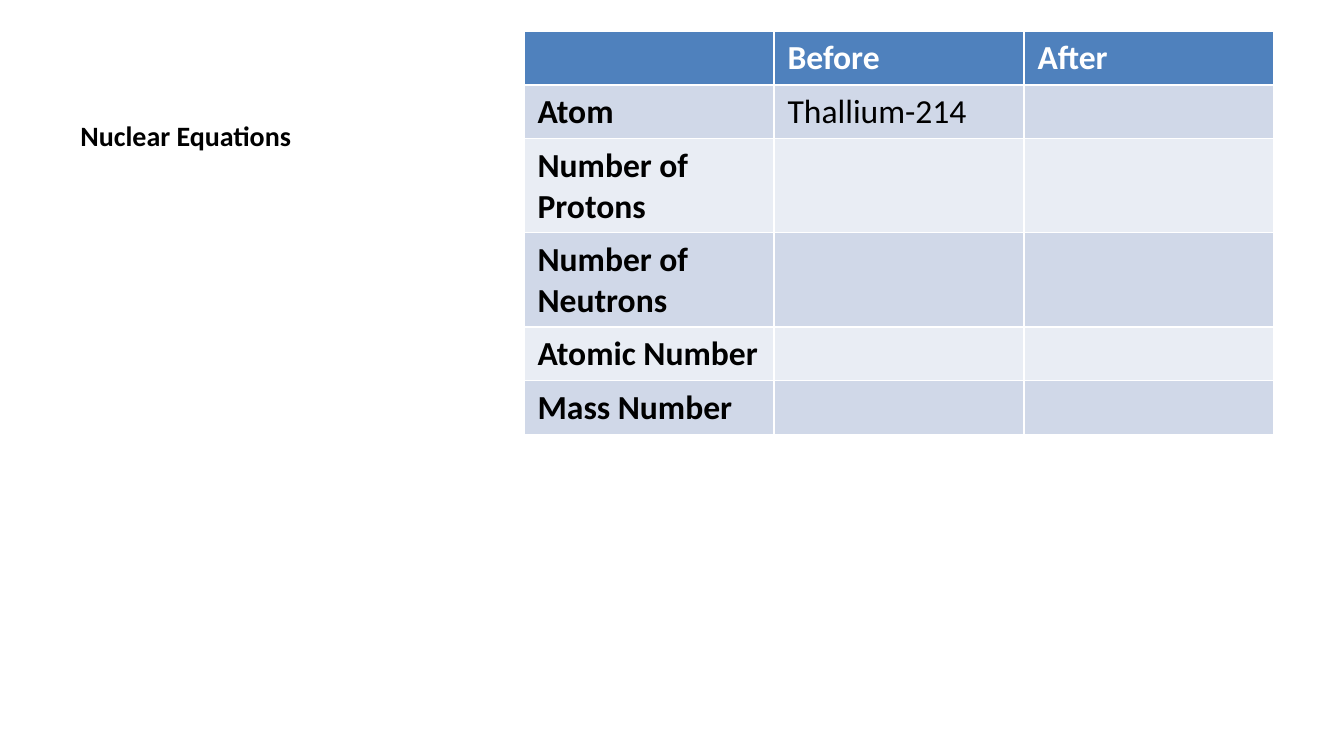
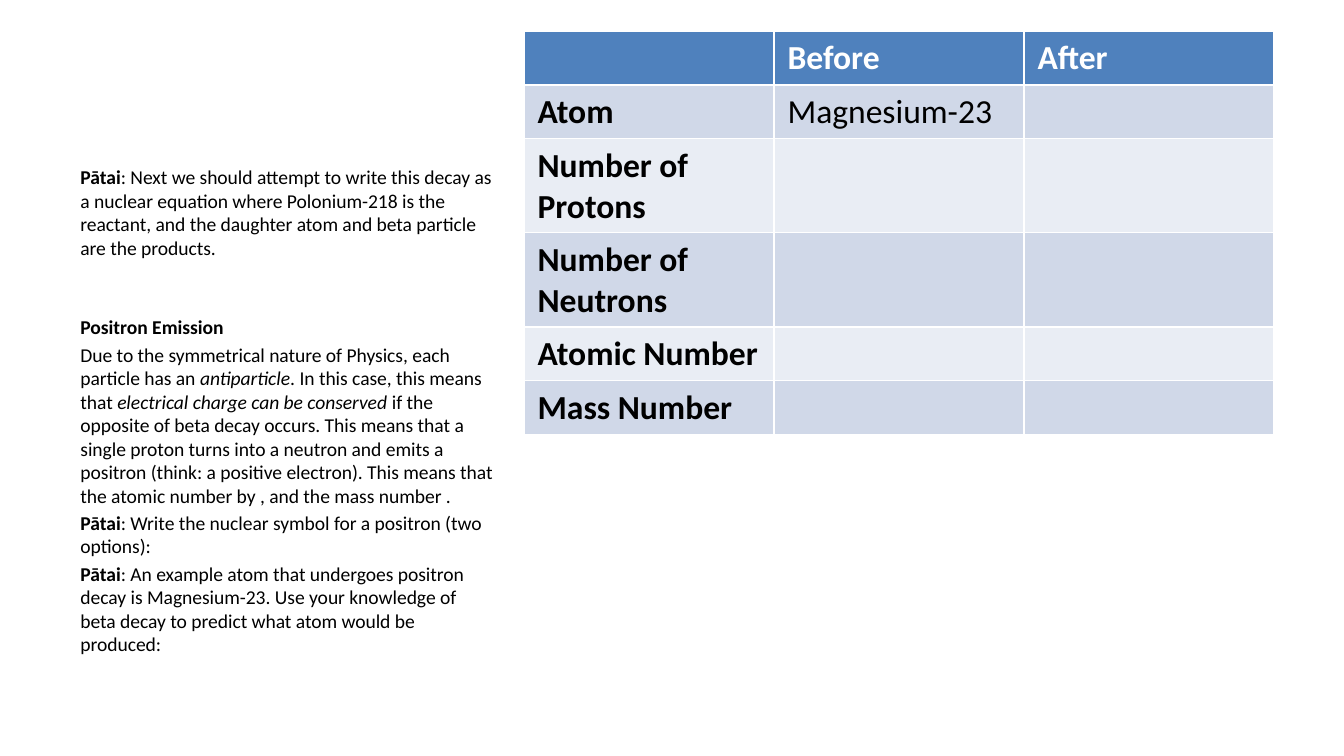
"""Build two worksheet slides on nuclear equations and positron emission."""
from dataclasses import dataclass

from pptx import Presentation
from pptx.dml.color import RGBColor as RGB
from pptx.enum.text import MSO_ANCHOR as Anchor
from pptx.util import Inches, Pt


@dataclass(frozen=True)
class Theme:
    font: str = "Calibri"
    ink: str = "000000"
    header_ink: str = "FFFFFF"
    header: str = "4F81BD"
    bands: tuple = ("D0D8E8", "E9EDF4")
    title_size: float = 15
    table_size: float = 18
    body_size: float = 10.5
    body_gap: float = 2.1
    section_gap: float = 30


THEME = Theme()


def add_text(paragraph, text, size=THEME.body_size, color=THEME.ink, bold=False, italic=False):
    run = paragraph.add_run()
    run.text = text
    run.font.name = THEME.font
    run.font.size = Pt(size)
    run.font.bold = bold
    run.font.italic = italic
    run.font.color.rgb = RGB.from_string(color)


def add_left_frame(slide, top, height, anchor):
    frame = slide.shapes.add_textbox(Inches(0.5), Inches(top), Inches(3.29), Inches(height)).text_frame
    frame.word_wrap = True
    frame.vertical_anchor = anchor
    return frame


BOLD, ITALIC = {"bold": True}, {"italic": True}
QUESTION = ("Pātai", BOLD)
positron_notes = [
    (THEME.body_gap, [
        QUESTION,
        (": Next we should attempt to write this decay as a nuclear equation where Polonium-218 "
         "is the reactant, and the daughter atom and beta particle are the products.", {}),
    ]),
    (THEME.section_gap, [("Positron Emission", BOLD)]),
    (THEME.body_gap, [
        ("Due to the symmetrical nature of Physics, each particle has an ", {}),
        ("antiparticle", ITALIC),
        (". In this case, this means that ", {}),
        ("electrical charge can be conserved", ITALIC),
        (" if the opposite of beta decay occurs. This means that a single proton turns into a "
         "neutron and emits a positron (think: a positive electron). This means that the atomic "
         "number by , and the mass number .", {}),
    ]),
    (THEME.body_gap, [
        QUESTION,
        (": Write the nuclear symbol for a positron (two options):", {}),
    ]),
    (THEME.body_gap, [
        QUESTION,
        (": An example atom that undergoes positron decay is Magnesium-23. Use your knowledge "
         "of beta decay to predict what atom would be produced:", {}),
    ]),
]

prs = Presentation()
prs.slide_width = Inches(10)
prs.slide_height = prs.slide_width * 9 // 16
blank_layout = prs.slide_layouts[6]

equations_slide = prs.slides.add_slide(blank_layout)
title = add_left_frame(equations_slide, 0.23, 0.95, Anchor.BOTTOM)
add_text(title.paragraphs[0], "Nuclear Equations", size=THEME.title_size, bold=True)

positron_slide = prs.slides.add_slide(blank_layout)
notes = add_left_frame(positron_slide, 1.18, 3.85, Anchor.TOP)
for index, (gap, pieces) in enumerate(positron_notes):
    paragraph = notes.add_paragraph() if index else notes.paragraphs[0]
    paragraph.space_before = Pt(gap)
    for text, style in pieces:
        add_text(paragraph, text, **style)

for slide, parent_atom in ((equations_slide, "Thallium-214"), (positron_slide, "Magnesium-23")):
    decay_rows = [
        ("", "Before", "After"),
        ("Atom", parent_atom, ""),
        ("Number of Protons", "", ""),
        ("Number of Neutrons", "", ""),
        ("Atomic Number", "", ""),
        ("Mass Number", "", ""),
    ]
    decay_frame = slide.shapes.add_table(
        len(decay_rows), 3, Inches(3.9), Inches(0.23), Inches(5.58), Inches(4.79)
    )
    decay_table = decay_frame.table
    for row, values in enumerate(decay_rows):
        decay_table.rows[row].height = Inches(0)
        is_header = row == 0
        fill = THEME.header if is_header else THEME.bands[(row - 1) % 2]
        for column, value in enumerate(values):
            cell = decay_table.cell(row, column)
            cell.fill.solid()
            cell.fill.fore_color.rgb = RGB.from_string(fill)
            if value:
                add_text(cell.text_frame.paragraphs[0], value, size=THEME.table_size,
                         color=THEME.header_ink if is_header else THEME.ink,
                         bold=is_header or column == 0)
    decay_frame.height = Inches(4.79)

prs.save("out.pptx")
